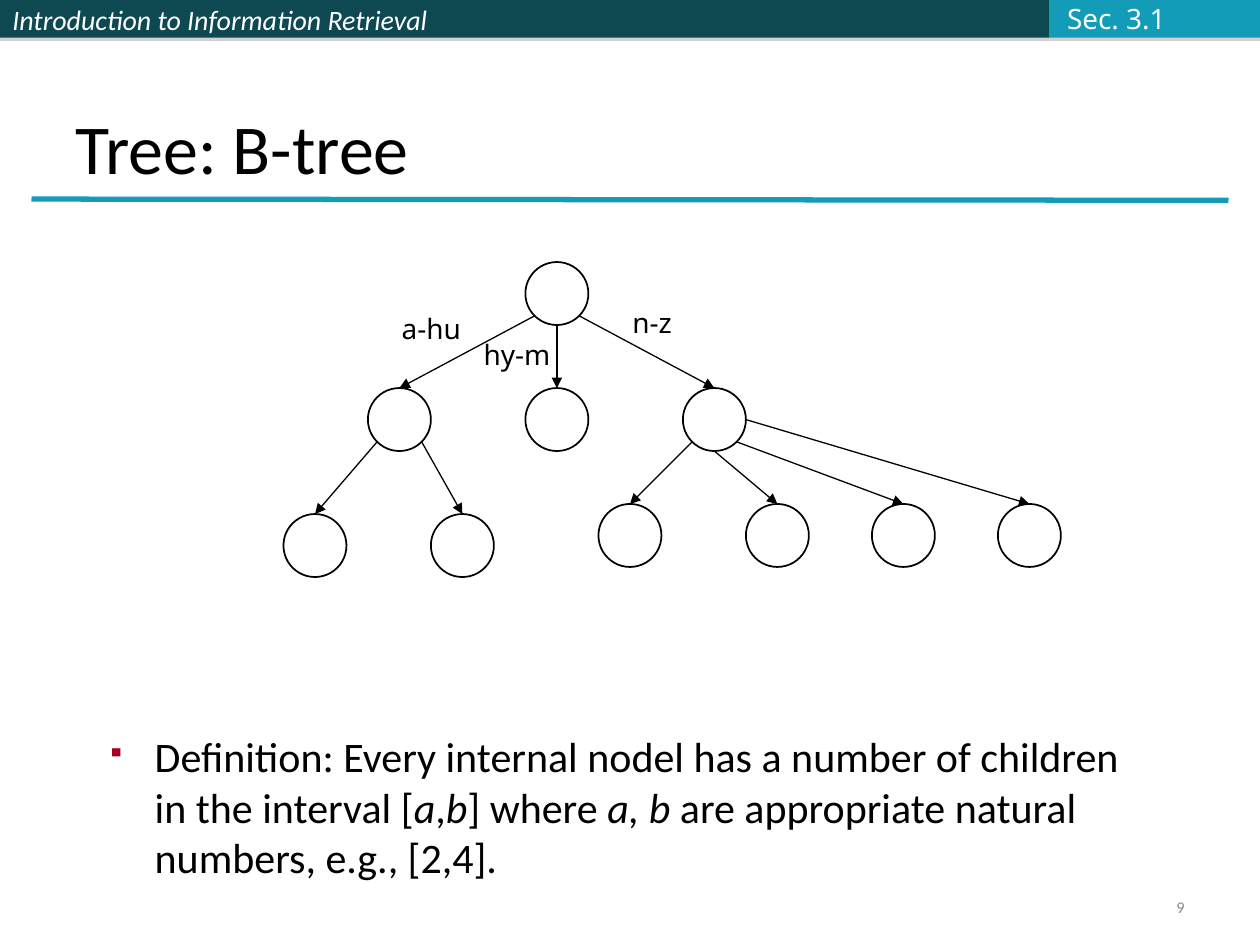
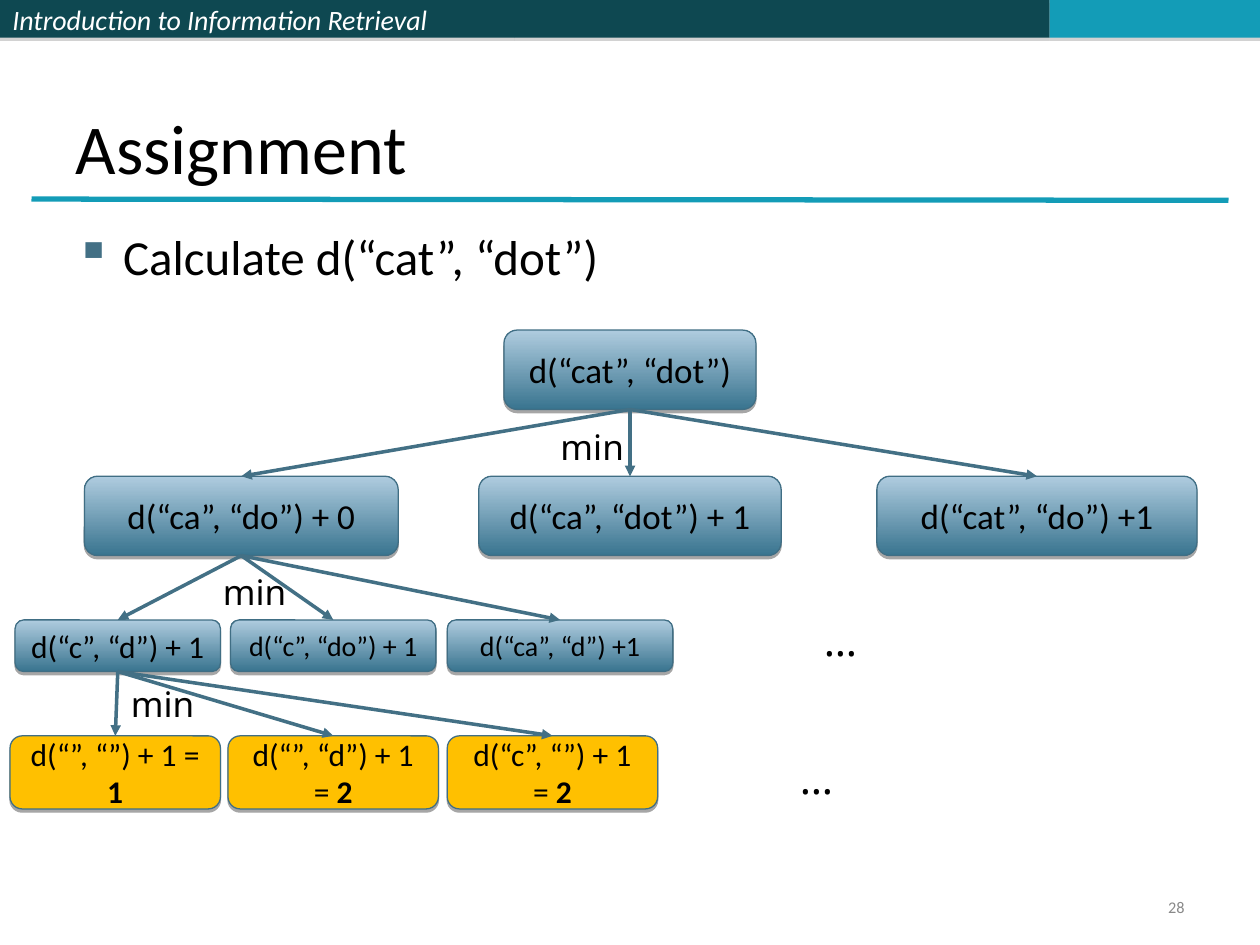
"""Build two slides on search trees: a B-tree and an edit distance call tree."""
import math
import typing

import lxml.etree
import pptx
import pptx.dml.color
import pptx.enum.dml
import pptx.enum.shapes
import pptx.enum.text
import pptx.oxml.ns
import pptx.shapes.autoshape
import pptx.shapes.connector
import pptx.slide
import pptx.text.text
import pptx.util

Inches = pptx.util.Inches
Pt = pptx.util.Pt
RGBColor = pptx.dml.color.RGBColor
Shape = pptx.enum.shapes.MSO_SHAPE
Align = pptx.enum.text.PP_ALIGN
Anchor = pptx.enum.text.MSO_ANCHOR
qn = pptx.oxml.ns.qn

BLACK = RGBColor(0x00, 0x00, 0x00)
WHITE = RGBColor(0xFF, 0xFF, 0xFF)
PALE = RGBColor(0xFB, 0xFC, 0xFF)
GRAY = RGBColor(0x89, 0x89, 0x89)
SHADE = RGBColor(0x80, 0x80, 0x80)
DARK = RGBColor(0x0E, 0x48, 0x51)
TEAL = RGBColor(0x13, 0x9C, 0xB7)
SLATE = RGBColor(0x43, 0x70, 0x85)
EDGE = RGBColor(0x40, 0x6E, 0x84)
DEEP = RGBColor(0x39, 0x74, 0x8F)
LIGHT = RGBColor(0xAF, 0xCC, 0xDF)
GOLD = RGBColor(0xFF, 0xC0, 0x00)
RED = RGBColor(0xA5, 0x00, 0x21)
MAIN = "Calibri"
SIDE = "Noto Sans"
DISC = 0.5


class Run(typing.NamedTuple):
    """A piece of text in one style."""
    text: str
    italic: bool = False
    bold: bool = False


class Band(typing.NamedTuple):
    """A piece of the strip at the top."""
    left: float
    width: float
    color: RGBColor


class Note(typing.NamedTuple):
    """A short free label."""
    text: str
    left: float
    top: float
    width: float
    height: float
    size: float
    wrap: bool = True


class Disc(typing.NamedTuple):
    """A tree node and the angle at which its parent's arrow starts."""
    left: float
    top: float
    parent: int = -1
    angle: float = 0


class Box(typing.NamedTuple):
    """A call in the distance tree."""
    runs: list[Run]
    left: float
    width: float
    size: float


class Row(typing.NamedTuple):
    """A level of calls, all made by the first call of the level above."""
    top: float
    height: float
    boxes: list[Box]
    gold: bool = False


BANDS = [Band(0, 4.08, DARK), Band(4.08, 4.25, DARK), Band(8.33, 1.67, TEAL)]
DISCS = [
    Disc(4.17, 2.08),
    Disc(2.92, 3.08, 0, 135),
    Disc(4.17, 3.08, 0, 90),
    Disc(5.42, 3.08, 0, 45),
    Disc(2.25, 4.08, 1, 135),
    Disc(3.42, 4.08, 1, 45),
    Disc(4.75, 4, 3, 135),
    Disc(5.92, 4, 3, 90),
    Disc(6.92, 4, 3, 45),
    Disc(7.92, 4, 3, 0),
]
RANGES = [
    Note("a-hu", 3.09, 2.42, 0.67, 0.37, 16, False),
    Note("hy-m", 3.74, 2.63, 0.73, 0.37, 16, False),
    Note("n-z", 4.92, 2.38, 0.51, 0.37, 16, False),
]
ROWS = [
    Row(2.62, 0.63, [Box([Run("d(“cat”, “dot”)")], 4, 2, 20)]),
    Row(3.78, 0.63, [
        Box([Run("d(“ca”, “do”) + 0")], 0.67, 2.49, 20),
        Box([Run("d(“ca”, “dot”) + 1")], 3.8, 2.4, 20),
        Box([Run("d(“cat”, “do”) +1")], 6.96, 2.54, 20),
    ]),
    Row(4.92, 0.41, [
        Box([Run("d(“c”, “d”) + 1")], 0.12, 1.63, 18),
        Box([Run("d(“c”, “do”) + 1")], 1.83, 1.63, 16),
        Box([Run("d(“ca”, “d”) +1")], 3.55, 1.79, 16),
    ]),
    Row(5.84, 0.58, [
        Box([Run("d(“”, “”) + 1 = "), Run("1", bold=True)], 0.08, 1.67, 18),
        Box([Run("d(“”, “d”) + 1 = "), Run("2", bold=True)], 1.81, 1.67, 18),
        Box([Run("d(“c”, “”) + 1 = "), Run("2", bold=True)], 3.55, 1.67, 18),
    ], True),
]
MARKS = [
    Note("min", 4.35, 3.33, 0.83, 0.44, 20),
    Note("min", 1.67, 4.48, 0.83, 0.44, 20),
    Note("min", 0.94, 5.37, 0.83, 0.44, 20),
    Note("…", 6.44, 4.83, 2.4, 0.5, 24),
    Note("…", 6.25, 5.92, 2.4, 0.5, 24),
]


def add_tag(parent: typing.Any, name: str, **values: str) -> typing.Any:
    """Append an XML child with the given values."""
    return lxml.etree.SubElement(parent, qn(name), values)


def write(frame: pptx.text.text.TextFrame, runs: list[Run], size: float,
          color: RGBColor = BLACK, font: str = MAIN, align: Align = Align.LEFT,
          anchor: Anchor = Anchor.TOP) -> typing.Any:
    """Fill a frame with one paragraph, run by run."""
    frame.word_wrap = True
    frame.vertical_anchor = anchor
    line = frame.paragraphs[0]
    line.alignment = align
    for item in runs:
        run = line.add_run()
        run.text = item.text
        run.font.name = font
        run.font.size = Pt(size)
        run.font.color.rgb = color
        run.font.italic = item.italic
        run.font.bold = item.bold
    return line


def add_frame(slide: pptx.slide.Slide, left: float, top: float, width: float,
              height: float) -> pptx.text.text.TextFrame:
    """Add a text box and return its frame."""
    return slide.shapes.add_textbox(
        Inches(left), Inches(top), Inches(width), Inches(height)).text_frame


def add_note(slide: pptx.slide.Slide, note: Note, color: RGBColor = BLACK,
             anchor: Anchor = Anchor.TOP) -> None:
    """Add a free label."""
    frame = add_frame(slide, note.left, note.top, note.width, note.height)
    write(frame, [Run(note.text)], note.size, color, SIDE, anchor=anchor)
    frame.word_wrap = note.wrap


def add_point(slide: pptx.slide.Slide, runs: list[Run], area: tuple[float, ...],
              size: float, before: float, color: RGBColor, scale: int) -> None:
    """Add a bulleted paragraph."""
    line = write(add_frame(slide, *area), runs, size)
    line.space_before = Pt(before)
    props = line._p.get_or_add_pPr()
    props.set("marL", str(Inches(0.38)))
    props.set("indent", str(-Inches(0.38)))
    add_tag(add_tag(props, "a:buClr"), "a:srgbClr", val=str(color))
    add_tag(props, "a:buSzPct", val=str(scale * 1000))
    add_tag(props, "a:buChar", char="▪")


def add_shape(slide: pptx.slide.Slide, kind: Shape, left: float, top: float, width: float,
              height: float, shade: RGBColor | None = None) -> pptx.shapes.autoshape.Shape:
    """Add a shape, with a short drop shadow if a shade is given."""
    shape = slide.shapes.add_shape(
        kind, Inches(left), Inches(top), Inches(width), Inches(height))
    shape.shadow.inherit = False
    if shade is not None:
        effects = shape.element.spPr.find(qn("a:effectLst"))
        drop = add_tag(effects, "a:outerShdw", blurRad="0", dist=str(Pt(1.8)),
                       dir="5400000", rotWithShape="0")
        add_tag(add_tag(drop, "a:srgbClr", val=str(shade)), "a:alpha", val="35000")
    return shape


def add_line(slide: pptx.slide.Slide, start: tuple[float, float], end: tuple[float, float],
             color: RGBColor, width: float, arrow: bool = True
             ) -> pptx.shapes.connector.Connector:
    """Add a straight line, with an arrowhead unless told not to."""
    line = slide.shapes.add_connector(
        pptx.enum.shapes.MSO_CONNECTOR.STRAIGHT, *map(Inches, start + end))
    line.line.color.rgb = color
    line.line.width = Pt(width)
    props = line.element.spPr
    if arrow:
        add_tag(props.find(qn("a:ln")), "a:tailEnd", type="triangle")
    add_tag(props, "a:effectLst")
    return line


def add_slide(deck: typing.Any, title: str, number: int) -> pptx.slide.Slide:
    """Add a slide with its strip, title, rule and number."""
    slide = deck.slides.add_slide(deck.slide_layouts[5])
    for place, band in enumerate(BANDS):
        strip = add_shape(slide, Shape.RECTANGLE, band.left, 0, band.width, 0.3, SHADE)
        strip.fill.solid()
        strip.fill.fore_color.rgb = band.color
        strip.line.fill.background()
        if place == 0:
            write(strip.text_frame, [Run("Introduction to Information Retrieval", True)],
                  16, WHITE, anchor=Anchor.MIDDLE)
    add_line(slide, (0.25, 1.58), (9.75, 1.59), TEAL, 3, False)
    head = slide.shapes.title
    head.left, head.top, head.width, head.height = map(Inches, (0.5, 0.3, 9, 1.25))
    write(head.text_frame, [Run(title)], 40, anchor=Anchor.BOTTOM)
    line = write(add_frame(slide, 7.17, 7.08, 2.33, 0.27), [Run(str(number))], 9.3,
                 GRAY, align=Align.RIGHT, anchor=Anchor.MIDDLE)
    line.line_spacing = 0.8
    return slide


def add_disc(slide: pptx.slide.Slide, disc: Disc) -> None:
    """Draw a node and the arrow from its parent."""
    shape = add_shape(slide, Shape.OVAL, disc.left, disc.top, DISC, DISC)
    shape.fill.background()
    shape.line.color.rgb = BLACK
    shape.line.width = Pt(1)
    if disc.parent >= 0:
        source, half = DISCS[disc.parent], DISC / 2
        turn = math.radians(disc.angle)
        start = (source.left + half * (1 + math.cos(turn)),
                 source.top + half * (1 + math.sin(turn)))
        add_line(slide, start, (disc.left + half, disc.top), BLACK, 0.75)


def add_box(slide: pptx.slide.Slide, row: Row, box: Box) -> pptx.shapes.autoshape.Shape:
    """Draw one call."""
    shape = add_shape(slide, Shape.ROUNDED_RECTANGLE, box.left, row.top, box.width,
                      row.height, BLACK)
    if row.gold:
        shape.fill.solid()
        shape.fill.fore_color.rgb = GOLD
    else:
        shape.fill.gradient()
        shape.fill.gradient_angle = 90
        for stop, color in zip(shape.fill.gradient_stops, (DEEP, LIGHT)):
            stop.color.rgb = color
    shape.line.color.rgb = EDGE
    shape.line.width = Pt(0.75)
    write(shape.text_frame, box.runs, box.size, align=Align.CENTER, anchor=Anchor.MIDDLE)
    return shape


def main() -> None:
    """Build and save the deck."""
    deck = pptx.Presentation()
    deck.slide_width, deck.slide_height = Inches(10), Inches(7.5)

    slide = add_slide(deck, "Tree: B-tree", 9)
    for disc in DISCS:
        add_disc(slide, disc)
    for note in RANGES:
        add_note(slide, note)
    add_note(slide, Note("Sec. 3.1", 8.37, -0.04, 0.98, 0.37, 16, False), PALE, Anchor.MIDDLE)
    add_point(slide, [
        Run("Definition: Every internal nodel has a number of children in the interval ["),
        Run("a", True), Run(","), Run("b", True), Run("] where "), Run("a, b", True),
        Run(" are appropriate natural numbers, e.g., [2,4]."),
    ], (0.75, 5.75, 8.5, 1.5), 24, 6, RED, 60)

    slide = add_slide(deck, "Assignment", 28)
    add_point(slide, [Run("Calculate d(“cat”, “dot”)")], (0.5, 1.75, 9, 5.42), 28, 7, SLATE, 100)
    parent = None
    for row in ROWS:
        shapes = [add_box(slide, row, box) for box in row.boxes]
        for shape in shapes if parent else []:
            line = add_line(slide, (0, 0), (1, 1), SLATE, 2)
            line.begin_connect(parent, 2)
            line.end_connect(shape, 0)
        parent = shapes[0]
    for note in MARKS:
        add_note(slide, note)
    deck.save("out.pptx")


if __name__ == "__main__":
    main()
